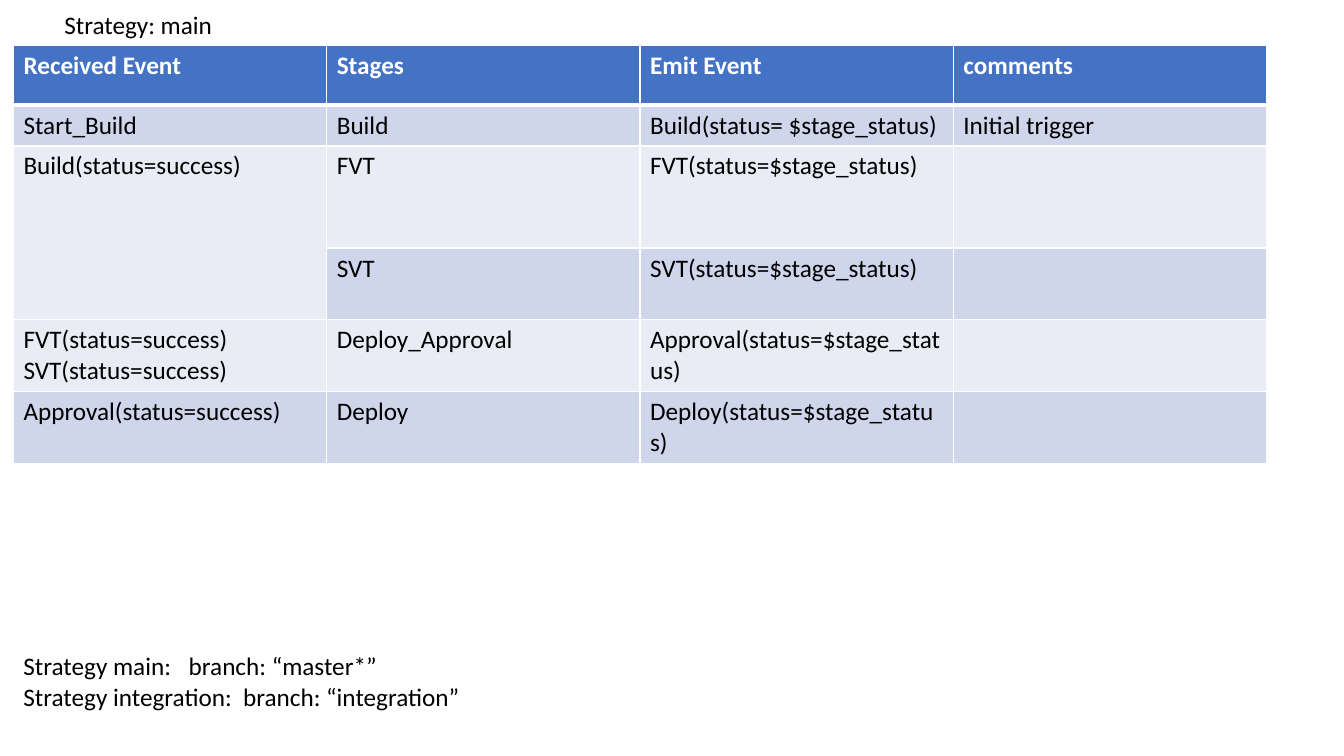
import pptx
import pptx.dml.color
import pptx.oxml
import pptx.oxml.ns
import pptx.util
from pptx.dml.color import RGBColor

WHITE = RGBColor(0xFF, 0xFF, 0xFF)
BLACK = RGBColor(0x00, 0x00, 0x00)
HEADER = RGBColor(0x44, 0x72, 0xC4)
BAND_DARK = RGBColor(0xCF, 0xD5, 0xEA)
BAND_LIGHT = RGBColor(0xE9, 0xEB, 0xF5)
NS = pptx.oxml.ns.nsdecls("a")


def write(tf, text, size=18, font="Calibri", color=BLACK, bold=False, tabs=()):
    """Fill a text frame, one paragraph a line; tabs holds one stop a line."""
    for i, line in enumerate(text.split("\n")):
        p = tf.paragraphs[0] if i == 0 else tf.add_paragraph()
        p.font.size = pptx.util.Pt(size)
        if line:
            r = p.add_run()
            r.text = line
            r.font.name, r.font.size = font, pptx.util.Pt(size)
            r.font.bold, r.font.color.rgb = bold, color
        if tabs:
            p._p.get_or_add_pPr().append(pptx.oxml.parse_xml(
                f'<a:tabLst {NS}><a:tab pos="{tabs[i]}" algn="l"/></a:tabLst>'))


class Deck:
    """Style and current slide; lengths are percentages of the slide's size."""

    def __init__(self, prs):
        self.prs = prs
        self.slide = prs.slides.add_slide(prs.slide_layouts[6])

    def x(self, share):
        return round(self.prs.slide_width * share / 100)

    def y(self, share):
        return round(self.prs.slide_height * share / 100)

    def text(self, left, top, width, height, text, tabs=()):
        sp = self.slide.shapes.add_textbox(
            self.x(left), self.y(top), self.x(width), self.y(height))
        sp.text_frame.word_wrap = bool(tabs)
        write(sp.text_frame, text, tabs=[self.x(t) for t in tabs])

    def border(self, cell, **widths):
        for side, width in widths.items():
            cell._tc.get_or_add_tcPr().append(pptx.oxml.parse_xml(
                f'<a:{side} {NS} w="{pptx.util.Pt(width)}"><a:solidFill>'
                f'<a:srgbClr val="{WHITE}"/></a:solidFill></a:{side}>'))

    def table(self, left, top, col_width, heights, rows):
        n_cols = len(rows[0])
        table = self.slide.shapes.add_table(
            len(rows), n_cols, self.x(left), self.y(top),
            self.x(col_width * n_cols), self.y(sum(heights))).table
        for col in table.columns:
            col.width = self.x(col_width)
        for i, (height, row) in enumerate(zip(heights, rows)):
            table.rows[i].height = self.y(height)
            head = i == 0
            fill = HEADER if head else BAND_DARK if i % 2 else BAND_LIGHT
            for j, text in enumerate(row):
                cell = table.cell(i, j)
                self.border(cell, lnL=1, lnR=1, lnT=3 if i == 1 else 1,
                            lnB=3 if head else 1)
                cell.fill.solid()
                cell.fill.fore_color.rgb = fill
                write(cell.text_frame, text, bold=head,
                      color=WHITE if head else BLACK)
        return table


prs = pptx.Presentation()
prs.slide_width = pptx.util.Inches(13.33)
prs.slide_height = pptx.util.Inches(7.5)
deck = Deck(prs)

# Event table
EVENTS = [
    ("Received Event", "Stages", "Emit Event", "comments"),
    ("Start_Build", "Build", "Build(status= $stage_status)", "Initial trigger"),
    ("Build(status=success)", "FVT", "FVT(status=$stage_status)", ""),
    ("", "SVT", "SVT(status=$stage_status)", ""),
    ("FVT(status=success)\nSVT(status=success)", "Deploy_Approval",
     "Approval(status=$stage_status)", ""),
    ("Approval(status=success)", "Deploy", "Deploy(status=$stage_status)", ""),
]
table = deck.table(1, 6, 23.31, [7.9, 5.4, 13.5, 9.5, 9.5, 9.5], EVENTS)
table.cell(2, 0).merge(table.cell(3, 0))

# Heading and branch notes
deck.text(4.05, 0.6, 12.6, 5.4, "Strategy: main")
deck.text(1, 85.4, 34.4, 9.4,
          "Strategy main:\tbranch: “master*”\n"
          "Strategy integration:\tbranch: “integration”", tabs=(12.3, 16.35))

prs.save("out.pptx")
